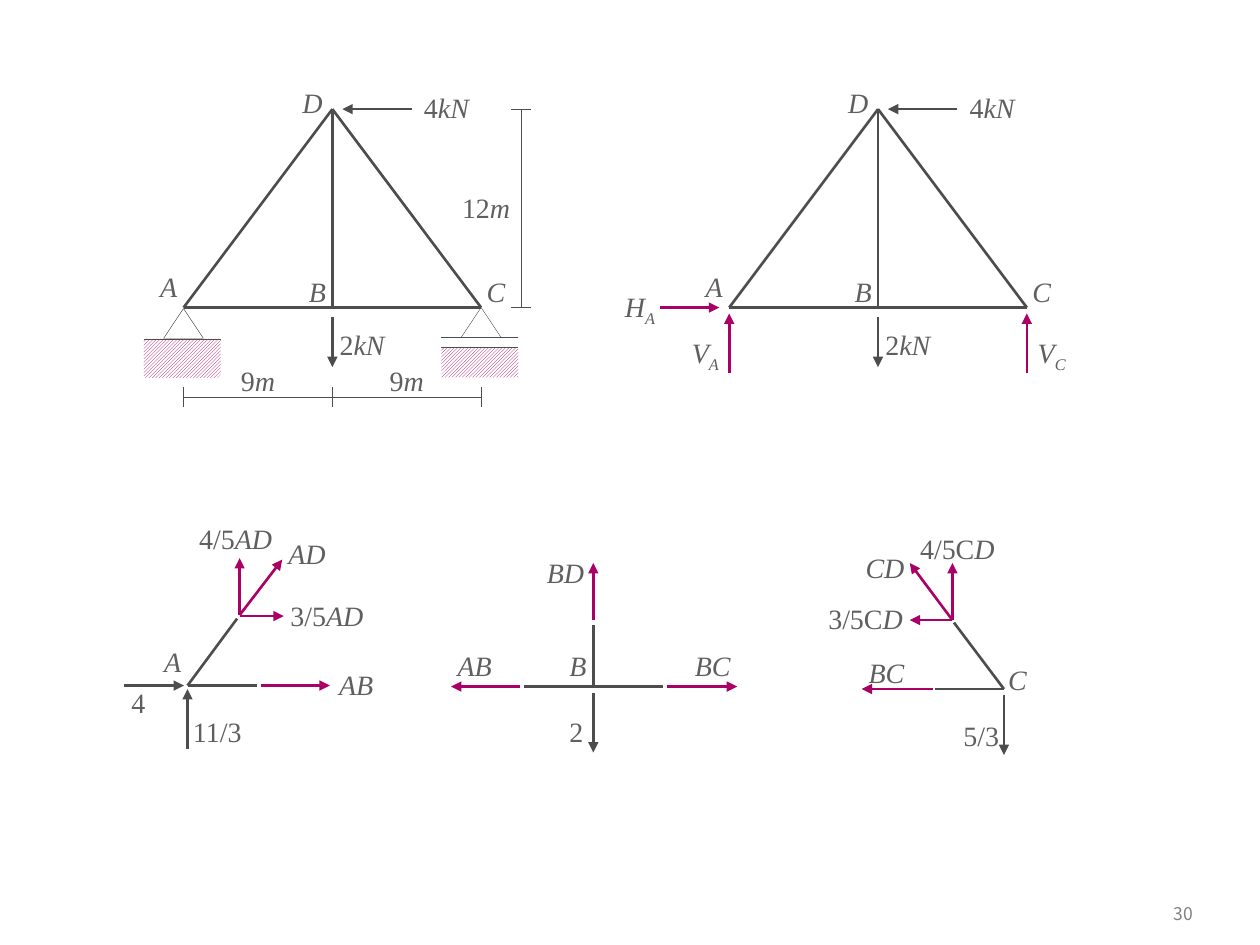
import pptx
import pptx.util
import pptx.dml.color
import pptx.enum.dml
import pptx.enum.shapes
import pptx.enum.text
from lxml import etree
from pptx.oxml.ns import qn
from pptx.util import Cm, Pt

COLORS = {"member": "4D4D4D", "force": "A90165", "label": "5F5F5F",
          "page": "808080", "paper": "FFFFFF"}
RGB = {name: pptx.dml.color.RGBColor.from_string(value) for name, value in COLORS.items()}
THICK, THIN = 1.5, 0.25

deck = pptx.Presentation()
deck.slide_width, deck.slide_height = Cm(25.4), Cm(19.05)
slide = deck.slides.add_slide(deck.slide_layouts[6])


def draw_line(diagram, x1, y1, x2, y2, color="member", width=THICK, arrow=False):
    """Draw a straight line in a diagram, with an optional arrowhead at its end."""
    connector = diagram.shapes.add_connector(
        pptx.enum.shapes.MSO_CONNECTOR.STRAIGHT, Cm(x1), Cm(y1), Cm(x2), Cm(y2))
    connector.line.color.rgb = RGB[color]
    connector.line.width = Pt(width)
    if arrow:
        etree.SubElement(connector.line._get_or_add_ln(), qn("a:tailEnd"), type="triangle")
    etree.SubElement(connector._element.spPr, qn("a:effectLst"))


def draw_label(diagram, upright, italic, subscript, left, top, width):
    """Write a centred label made of upright, italic and subscript parts."""
    box = diagram.shapes.add_textbox(Cm(left), Cm(top), Cm(width), Cm(0.69))
    frame = box.text_frame
    frame.word_wrap = True
    frame.margin_left = frame.margin_right = frame.margin_top = frame.margin_bottom = 0
    paragraph = frame.paragraphs[0]
    paragraph.alignment = pptx.enum.text.PP_ALIGN.CENTER
    for part, text in enumerate((upright, italic, subscript)):
        if not text:
            continue
        run = paragraph.add_run()
        run.text = text
        run.font.name = "Times New Roman"
        run.font.size = Pt(16)
        run.font.italic = part > 0
        run.font.color.rgb = RGB["label"]
        if part == 2:
            run._r.get_or_add_rPr().set("baseline", "-25000")


# Whole truss: with its supports on the left, as a free body on the right
left_x, mid_x, right_x = 3.7, 6.7, 9.7
apex_y, base_y = 2.2, 6.2
trusses = []
for shift in (0, 11):
    truss = slide.shapes.add_group_shape()
    trusses.append(truss)
    for x1, y1, x2, y2 in [(mid_x, apex_y, left_x, base_y), (right_x, base_y, left_x, base_y),
                           (mid_x, apex_y, mid_x, base_y), (mid_x, apex_y, right_x, base_y)]:
        draw_line(truss, x1 + shift, y1, x2 + shift, y2)
    draw_line(truss, 8.3 + shift, apex_y, 6.9 + shift, apex_y, arrow=True)
    draw_line(truss, mid_x + shift, 6.4, mid_x + shift, 7.4, arrow=True)
    for upright, italic, left, top, width in [
            ("4", "kN", 7.9, 1.83, 2.2), ("2", "kN", 6.7, 6.6, 1.2),
            ("", "A", 3.1, 5.44, 0.6), ("", "C", 9.7, 5.54, 0.6),
            ("", "B", 6.1, 5.54, 0.6), ("", "D", 5.9, 1.73, 0.8)]:
        draw_label(truss, upright, italic, "", left + shift, top, width)
supported, free_body = trusses

# Supports: (joint x, triangle top, ground top, ground height, lines)
for joint_x, wedge_top, ground_top, ground_height, ground_lines in [
        (right_x, 6.2, 7.0, 0.61, (6.8, 7.0)), (left_x, 6.22, 6.83, 0.79, (6.83,))]:
    ground_left = joint_x - 0.8
    ground = supported.shapes.add_shape(
        pptx.enum.shapes.MSO_SHAPE.RECTANGLE,
        Cm(ground_left), Cm(ground_top), Cm(1.55), Cm(ground_height))
    ground.shadow.inherit = False
    ground.fill.patterned()
    ground.fill.pattern = pptx.enum.dml.MSO_PATTERN.LIGHT_UPWARD_DIAGONAL
    ground.fill.fore_color.rgb = RGB["force"]
    ground.fill.back_color.rgb = RGB["paper"]
    ground.line.fill.background()
    wedge = supported.shapes.add_shape(
        pptx.enum.shapes.MSO_SHAPE.ISOSCELES_TRIANGLE,
        Cm(joint_x - 0.4), Cm(wedge_top), Cm(0.8), Cm(0.6))
    wedge.shadow.inherit = False
    wedge.fill.background()
    wedge.line.color.rgb = RGB["member"]
    wedge.line.width = Pt(THIN)
    for y in ground_lines:
        draw_line(supported, ground_left, y, ground_left + 1.55, y, width=THIN)

# Dimensions
draw_line(supported, 10.5, apex_y, 10.5, base_y, width=THIN)
for y in (apex_y, base_y):
    draw_line(supported, 10.3, y, 10.7, y, width=THIN)
draw_line(supported, left_x, 8, right_x, 8, width=THIN)
for x in (left_x, mid_x, right_x):
    draw_line(supported, x, 7.8, x, 8.2, width=THIN)
for length, left, top in [("12", 9.3, 3.84), ("9", 4.7, 7.32), ("9", 7.7, 7.32)]:
    draw_label(supported, length, "m", "", left, top, 1)

# Reactions
for x1, y1, x2, y2 in [(14.7, 7.52, 14.7, 6.32), (20.7, 7.52, 20.7, 6.32),
                       (13.3, 6.2, 14.5, 6.2)]:
    draw_line(free_body, x1, y1, x2, y2, "force", arrow=True)
for force, joint, left, top, width in [("V", "A", 13.74, 6.76, 0.96),
                                       ("V", "C", 20.7, 6.76, 1), ("H", "A", 12.5, 5.84, 0.8)]:
    draw_label(free_body, "", force, joint, left, top, width)

# Joint equilibrium: bars, known loads, unknown bar forces and labels
joints = [
    {"bars": [(4.78, 12.47, 3.78, 13.82), (5.18, 13.82, 3.78, 13.82)],
     "loads": [(3.78, 15.09, 3.78, 13.89), (2.49, 13.82, 3.71, 13.82)],
     "forces": [(5.26, 13.82, 6.65, 13.82), (4.83, 12.4, 5.69, 11.28),
                (4.83, 12.42, 5.72, 12.42), (4.83, 12.4, 4.83, 11.25)],
     "labels": [("", "AB", 6.78, 13.46, 0.8), ("", "AD", 5.79, 10.82, 0.8),
                ("3/5", "AD", 5.79, 12.07, 1.6), ("4/5", "AD", 3.71, 10.52, 2.08),
                ("", "A", 3.18, 13, 0.6), ("11/3", "", 3.78, 14.4, 1.2),
                ("4", "", 2.59, 13.82, 0.4)]},
    {"bars": [(11.96, 12.6, 11.96, 13.84), (10.57, 13.84, 11.96, 13.84),
              (11.96, 13.84, 13.36, 13.84)],
     "loads": [(11.96, 13.97, 11.96, 15.17)],
     "forces": [(10.49, 13.84, 9.09, 13.84), (11.96, 12.5, 11.96, 11.35),
                (13.44, 13.84, 14.86, 13.84)],
     "labels": [("", "B", 11.35, 13.08, 0.6), ("2", "", 11.28, 14.4, 0.68),
                ("", "AB", 9.17, 13.08, 0.8), ("", "BD", 10.97, 11.2, 0.86),
                ("", "BC", 13.97, 13.08, 0.8)]},
    {"bars": [(19.23, 12.55, 20.24, 13.89), (18.85, 13.89, 20.24, 13.89)],
     "loads": [(20.24, 14.02, 20.24, 15.22)],
     "forces": [(18.8, 13.89, 17.37, 13.89), (19.2, 12.5, 18.34, 11.35),
                (19.2, 12.5, 18.34, 12.5), (19.2, 12.5, 19.2, 11.35)],
     "labels": [("", "C", 20.24, 13.36, 0.54), ("5/3", "", 19.38, 14.48, 0.8),
                ("", "BC", 17.37, 13.21, 1), ("", "CD", 17.37, 11.1, 0.94),
                ("3/5C", "D", 16.51, 12.12, 1.88), ("4/5C", "D", 18.36, 10.72, 1.88)]},
]
for joint in joints:
    diagram = slide.shapes.add_group_shape()
    for bar in joint["bars"]:
        draw_line(diagram, *bar)
    for load in joint["loads"]:
        draw_line(diagram, *load, arrow=True)
    for force in joint["forces"]:
        draw_line(diagram, *force, "force", arrow=True)
    for upright, italic, left, top, width in joint["labels"]:
        draw_label(diagram, upright, italic, "", left, top, width)

page_number = slide.shapes.add_textbox(Cm(22.5), Cm(18), Cm(1.8), Cm(0.84)).text_frame
page_number.word_wrap = True
page_number.vertical_anchor = pptx.enum.text.MSO_ANCHOR.MIDDLE
page_number.text = "30"
page_number.paragraphs[0].alignment = pptx.enum.text.PP_ALIGN.RIGHT
digits = page_number.paragraphs[0].runs[0]
digits.font.name = "Noto Sans CJK KR"
digits.font.size = Pt(10)
digits.font.color.rgb = RGB["page"]

deck.save("out.pptx")
